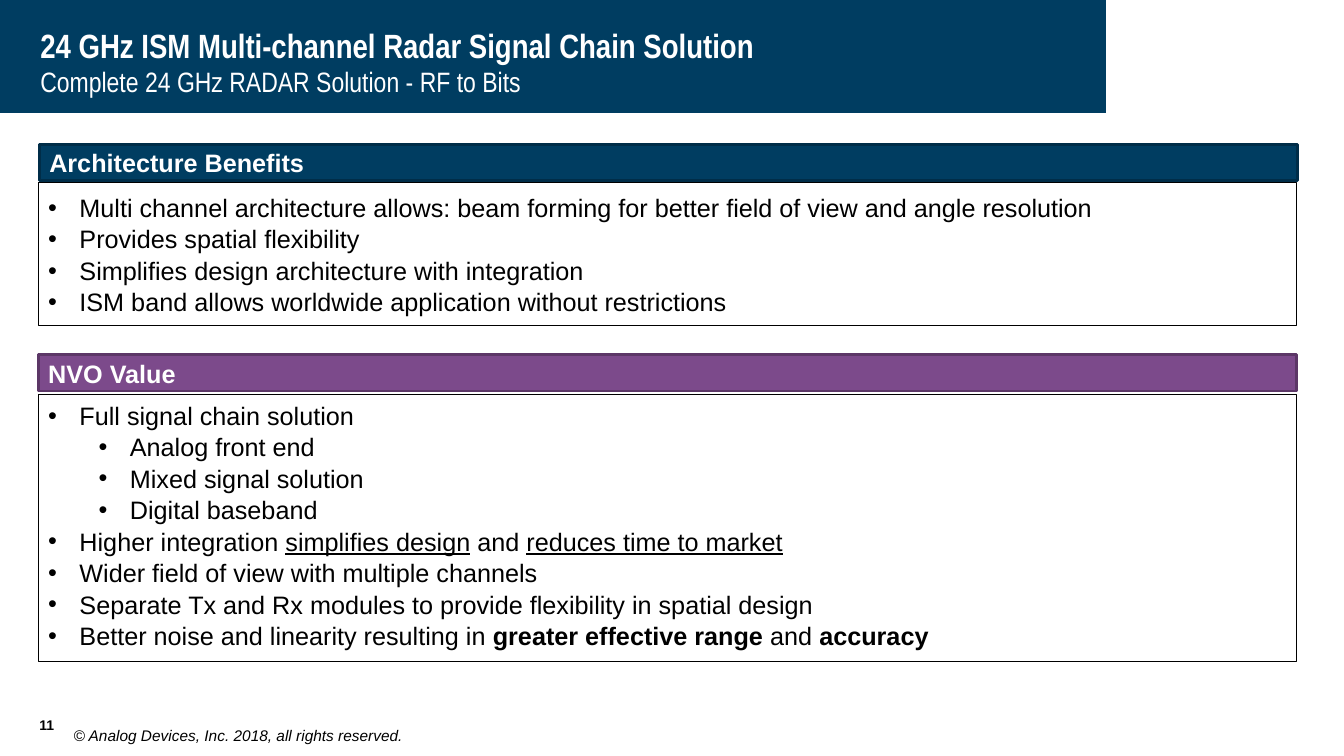
from lxml import etree
from pptx import Presentation
from pptx.dml.color import RGBColor
from pptx.enum.shapes import MSO_SHAPE
from pptx.enum.text import MSO_ANCHOR, PP_ALIGN
from pptx.oxml.ns import qn
from pptx.util import Inches, Pt

RECTANGLE = MSO_SHAPE.RECTANGLE
TOP, MIDDLE, BOTTOM = MSO_ANCHOR.TOP, MSO_ANCHOR.MIDDLE, MSO_ANCHOR.BOTTOM
LEFT = PP_ALIGN.LEFT

COLORS = {
    "navy": "003D61",
    "navy_edge": "002D48",
    "purple": "7C4A8B",
    "purple_edge": "5C3767",
    "white": "FFFFFF",
    "black": "000000",
}
UNDERLINE = {"underline": True}
BOLD = {"bold": True}

presentation = Presentation()
presentation.slide_width = Inches(13.33)
presentation.slide_height = Inches(7.5)
slide = presentation.slides.add_slide(presentation.slide_layouts[6])


def add_box(left, top, width, height, fill=None, line=None, line_width=0.75,
            anchor=MIDDLE, insets=(0.1, 0.05, 0.1, 0.05)):
    """Add a filled rectangle, or a plain text box when no fill is given."""
    bounds = [Inches(length) for length in (left, top, width, height)]
    if fill:
        shape = slide.shapes.add_shape(RECTANGLE, *bounds)
        shape.shadow.inherit = False
        shape.fill.solid()
        shape.fill.fore_color.rgb = RGBColor.from_string(COLORS[fill])
        if line:
            shape.line.color.rgb = RGBColor.from_string(COLORS[line])
            shape.line.width = Pt(line_width)
        else:
            shape.line.fill.background()
    else:
        shape = slide.shapes.add_textbox(*bounds)
    frame = shape.text_frame
    frame.word_wrap = True
    frame.vertical_anchor = anchor
    frame.margin_left, frame.margin_top, frame.margin_right, frame.margin_bottom = (
        Inches(inset) for inset in insets)
    return shape


def add_text(shape, text, size=18, color="black", font="Arial", bold=False,
             italic=False, bullet=False, level=0, line_spacing=None):
    """Append a paragraph; text is a string or a list of (string, style) runs."""
    frame = shape.text_frame
    paragraph = frame.paragraphs[0]
    if paragraph.runs:
        paragraph = frame.add_paragraph()
    paragraph.alignment = LEFT
    if line_spacing:
        paragraph.line_spacing = line_spacing
    if bullet:
        paragraph.level = level
        properties = paragraph._p.get_or_add_pPr()
        properties.set("marL", str(Inches(0.31 + 0.5 * level)))
        properties.set("indent", str(Inches(-0.31)))
        etree.SubElement(properties, qn("a:buFont")).set("typeface", "Arial")
        etree.SubElement(properties, qn("a:buChar")).set("char", "•")
    runs = [(text, {})] if isinstance(text, str) else text
    for content, style in runs:
        run = paragraph.add_run()
        run.text = content
        run.font.name = font
        run.font.size = Pt(size)
        run.font.color.rgb = RGBColor.from_string(COLORS[color])
        run.font.bold = style.get("bold", bold)
        run.font.italic = italic
        run.font.underline = style.get("underline", False)


# Title band
title = add_box(0, 0, 10.97, 1.12, fill="navy", insets=(0.4, 0.2, 0.4, 0.1))
add_text(title, "24 GHz ISM Multi-channel Radar Signal Chain Solution",
         size=24, color="white", font="Arial Narrow", bold=True)
add_text(title, "Complete 24 GHz RADAR Solution - RF to Bits",
         size=20, color="white", font="Arial Narrow")

# Footer
page_number = add_box(0.39, 6.92, 0.37, 0.36, anchor=BOTTOM, insets=(0, 0, 0, 0))
add_text(page_number, "11", size=10, bold=True)
copyright_line = add_box(0.73, 7.03, 5.31, 0.36, anchor=BOTTOM, insets=(0, 0, 0, 0))
add_text(copyright_line, "© Analog Devices, Inc. 2018, all rights reserved.",
         size=11, italic=True)

# Panels: heading, heading left and top, colour, body top, height, anchor, bullets
panels = [
    ("Architecture Benefits", 0.39, 1.43, "navy", 1.81, 1.42, MIDDLE, [
        (0, "Multi channel architecture allows: beam forming for better "
            "field of view and angle resolution"),
        (0, "Provides spatial flexibility"),
        (0, "Simplifies design architecture with integration"),
        (0, "ISM band allows worldwide application without restrictions"),
    ]),
    ("NVO Value", 0.38, 3.52, "purple", 3.91, 2.65, TOP, [
        (0, "Full signal chain solution"),
        (1, "Analog front end"),
        (1, "Mixed signal solution"),
        (1, "Digital baseband"),
        (0, [("Higher integration ", {}), ("simplifies design", UNDERLINE),
             (" and ", {}), ("reduces time to market", UNDERLINE)]),
        (0, "Wider field of view with multiple channels"),
        (0, "Separate Tx and Rx modules to provide flexibility in spatial design"),
        (0, [("Better noise and linearity resulting in ", {}),
             ("greater effective range ", BOLD), ("and ", {}), ("accuracy", BOLD)]),
    ]),
]
for heading, left, top, color, body_top, body_height, anchor, bullets in panels:
    body = add_box(0.38, body_top, 12.48, body_height, fill="white", line="black",
                   anchor=anchor)
    for level, text in bullets:
        add_text(body, text, bullet=True, level=level, line_spacing=1.04)
    header = add_box(left, top, 12.48, 0.36, fill=color, line=color + "_edge",
                     line_width=2)
    add_text(header, heading, color="white", bold=True)

presentation.save("out.pptx")
